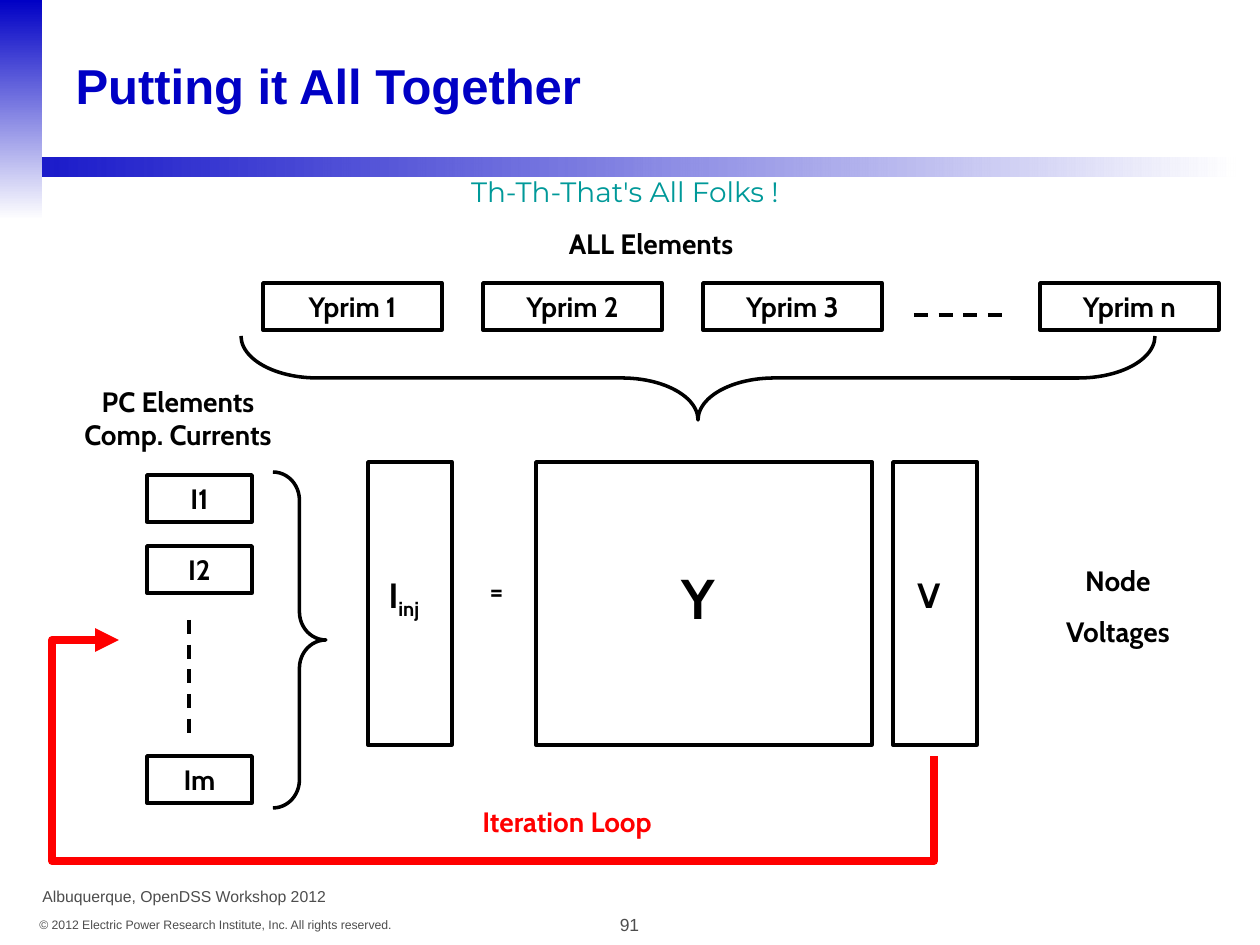
"""Build the "Putting it All Together" slide on the solution loop of a power flow."""
import copy

import pptx
import pptx.dml.color
import pptx.enum.dml
import pptx.enum.shapes
import pptx.enum.text
import pptx.oxml.ns
import pptx.util
from lxml import etree

RGB = pptx.dml.color.RGBColor
BLUE = RGB(0x00, 0x00, 0xC5)
WHITE = RGB(0xFF, 0xFF, 0xFF)
BLACK = RGB(0x00, 0x00, 0x00)
GREY = RGB(0x4D, 0x4D, 0x4D)
RED = RGB(0xFF, 0x00, 0x00)
TEAL = RGB(0x00, 0x99, 0x99)
SHAPE = pptx.enum.shapes.MSO_SHAPE
ALIGN = pptx.enum.text.PP_ALIGN
ANCHOR = pptx.enum.text.MSO_ANCHOR
STRAIGHT = pptx.enum.shapes.MSO_CONNECTOR.STRAIGHT
qn = pptx.oxml.ns.qn


def px(*lengths):
    return [round(length * 914400 / 126) for length in lengths]


def write(shape, text, size=16, color=BLACK, align=ALIGN.CENTER, **overrides):
    frame = shape.text_frame
    frame.text = text
    frame.word_wrap = True
    look = {"name": "Cabin", "bold": True, "size": pptx.util.Pt(size), **overrides}
    for number, paragraph in enumerate(frame.paragraphs):
        paragraph.alignment = align
        if number:
            paragraph.space_before = pptx.util.Pt(10)
        for run in paragraph.runs:
            for attribute, value in look.items():
                setattr(run.font, attribute, value)
            run.font.color.rgb = color
        for line_break in paragraph._p.findall(qn("a:br")):
            line_break.insert(0, copy.deepcopy(paragraph.runs[0].font._element))
    return frame


deck = pptx.Presentation()
deck.slide_width, deck.slide_height = px(1260, 945)
slide = deck.slides.add_slide(deck.slide_layouts[5])
shapes = slide.shapes

heading = shapes.title
heading.left, heading.top, heading.width, heading.height = px(63, 25, 1134, 126)
heading_frame = write(heading, "Putting it All Together", 28, BLUE, ALIGN.LEFT, name="Arial")
heading_frame.vertical_anchor = ANCHOR.MIDDLE
heading_frame.paragraphs[0].line_spacing = 0.95

for area, angle, opacity in [
    ((32, 158, 1204, 19), 0, "90000"),
    ((0, 0, 42, 220), 270, "100000"),
]:
    band = shapes.add_shape(SHAPE.RECTANGLE, *px(*area))
    band.shadow.inherit = False
    band.line.fill.background()
    band.fill.gradient()
    band.fill.gradient_angle = angle
    for stop, color, position in zip(band.fill.gradient_stops, (BLUE, WHITE), (0, 1)):
        stop.color.rgb = color
        stop.position = position
    start_color = band._element.spPr.find(".//" + qn("a:srgbClr"))
    etree.SubElement(start_color, qn("a:alpha")).set("val", opacity)

footers = [
    ((588, 908, 83, 34), "91", 10, ALIGN.CENTER),
    ((26, 911, 378, 28), "© 2012 Electric Power Research Institute, Inc. All rights reserved.", 7, ALIGN.RIGHT),
    ((30, 881, 340, 32), "Albuquerque, OpenDSS Workshop 2012", 9, ALIGN.LEFT),
]
for area, text, size, align in footers:
    footer = shapes.add_textbox(*px(*area))
    write(footer, text, size, GREY, align, name="Arial", bold=False)

primitives = [
    ((left, 283, 179, 47), f"Yprim {index}")
    for left, index in zip((263, 483, 703, 1040), "123n")
]
currents = [
    ((147, top, 105, 47), f"I{index}") for top, index in zip((475, 546, 756), "12m")
]
matrices = [((left, 462, width, 283), "") for left, width in ((368, 84), (536, 336), (893, 84))]
for area, text in primitives + currents + matrices:
    element = shapes.add_shape(SHAPE.RECTANGLE, *px(*area))
    element.shadow.inherit = False
    element.fill.background()
    element.line.color.rgb = BLACK
    element.line.width = pptx.util.Pt(2)
    write(element, text).vertical_anchor = ANCHOR.TOP

for ends in [(914, 315, 1008, 315), (189, 620, 189, 735)]:
    ellipsis = shapes.add_connector(STRAIGHT, *px(*ends))
    ellipsis.line.color.rgb = BLACK
    ellipsis.line.width = pptx.util.Pt(2)
    ellipsis.line.dash_style = pptx.enum.dml.MSO_LINE.DASH
    etree.SubElement(ellipsis._element.spPr, qn("a:effectLst"))

for area, curl, turn in [((273, 472, 53, 336), 0.53, 0), ((656, -79, 84, 914), 0.91, 90)]:
    brace = shapes.add_shape(SHAPE.RIGHT_BRACE, *px(*area))
    brace.shadow.inherit = False
    brace.fill.background()
    brace.line.color.rgb = BLACK
    brace.line.width = pptx.util.Pt(2)
    brace.adjustments[0] = curl
    brace.rotation = turn

route = [px(*point) for point in [(934, 756), (934, 861), (52, 861), (52, 640), (119, 640)]]
outline = shapes.build_freeform(*route[0])
outline.add_line_segments(route[1:], close=False)
loop = outline.convert_to_shape()
loop.shadow.inherit = False
loop.fill.background()
loop.line.color.rgb = RED
loop.line.width = pptx.util.Pt(4.5)
loop_line = loop._element.spPr.find(qn("a:ln"))
etree.SubElement(loop_line, qn("a:round"))
etree.SubElement(loop_line, qn("a:tailEnd")).set("type", "triangle")

labels = [
    ((525, 220, 252, 47), "ALL Elements", 16, BLACK),
    ((52, 378, 252, 81), "PC Elements\vComp. Currents", 16, BLACK),
    ((630, 557, 136, 81), "Y", 32, BLACK),
    ((446, 567, 101, 47), "=", 16, BLACK),
    ((861, 567, 136, 55), "V", 20, BLACK),
    ((1029, 557, 178, 97), "Node\nVoltages", 16, BLACK),
    ((420, 798, 294, 47), "Iteration Loop", 16, RED),
]
for area, text, size, color in labels:
    write(shapes.add_textbox(*px(*area)), text, size, color)

injection = write(shapes.add_textbox(*px(336, 567, 136, 60)), "I", 20).paragraphs[0]
injection.runs[0]._r.addnext(copy.deepcopy(injection.runs[0]._r))
subscript = injection.runs[1]
subscript.text = "inj"
subscript.font._element.set("baseline", "-25000")

farewell = shapes.add_textbox(*px(168, 168, 914, 609))
write(farewell, "Th-Th-That's All Folks !", 16, TEAL, name="Montserrat", bold=False)

deck.save("out.pptx")
